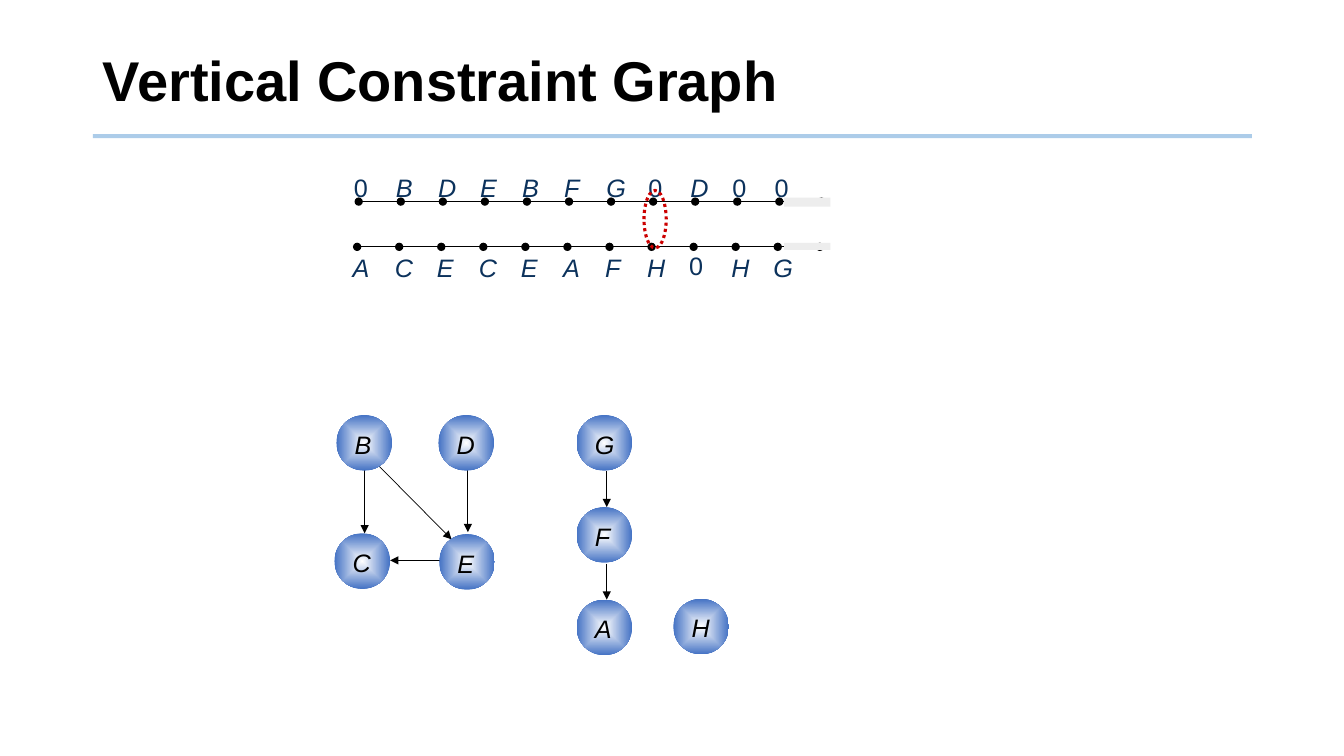
from lxml import etree
from pptx import Presentation
from pptx import util as u
from pptx.dml.color import RGBColor
from pptx.enum import dml, shapes, text
from pptx.oxml import parse_xml
from pptx.oxml.ns import nsdecls, qn


def rgb(value):
    return RGBColor.from_string(value)


class Board:
    """Draws styled elements on one slide, with lengths in centimetres."""

    font = "Arial"
    black, navy, red = "000000", "0C325C", "CC0000"
    gray, rule_blue, node_blue = "EDEDED", "5B9BD5", "4472C4"

    def __init__(self, prs):
        self.s = prs.slides.add_slide(prs.slide_layouts[5])

    def run(self, p, words, size, color, bold=False, italic=False):
        r = p.add_run()
        r.text = words
        f = r.font
        f.name, f.size, f.bold, f.italic = self.font, u.Pt(size), bold, italic
        f.color.rgb = rgb(color)

    def title(self, words, x, y, w, h):
        sp = self.s.shapes.title
        sp.left, sp.top, sp.width, sp.height = map(u.Cm, (x, y, w, h))
        tf = sp.text_frame
        tf.word_wrap = True
        tf.vertical_anchor = text.MSO_ANCHOR.MIDDLE
        p = tf.paragraphs[0]
        p.alignment = text.PP_ALIGN.LEFT
        p.line_spacing = 0.9
        self.run(p, words, 40, self.black, bold=True)

    def line(self, x1, y1, x2, y2, width=0.75, color=black, head=None, tail=None, alpha=None):
        sp = self.s.shapes.add_connector(
            shapes.MSO_CONNECTOR.STRAIGHT, *map(u.Cm, (x1, y1, x2, y2)))
        sp.line.width = u.Pt(width)
        sp.line.color.rgb = rgb(color)
        ln = sp.line._get_or_add_ln()
        if alpha:
            clr = ln.find(".//" + qn("a:srgbClr"))
            etree.SubElement(clr, qn("a:alpha"), val=str(alpha * 1000))
        for tag, kind in (("a:headEnd", head), ("a:tailEnd", tail)):
            if kind:
                etree.SubElement(ln, qn(tag), type=kind)
        etree.SubElement(sp._element.spPr, qn("a:effectLst"))

    def shape(self, kind, x, y, w, h):
        sp = self.s.shapes.add_shape(kind, *map(u.Cm, (x, y, w, h)))
        sp.shadow.inherit = False
        sp.line.fill.background()
        return sp

    def block(self, x, y, w, h):
        sp = self.shape(shapes.MSO_SHAPE.RECTANGLE, x, y, w, h)
        sp.fill.solid()
        sp.fill.fore_color.rgb = rgb(self.gray)

    def ring(self, x, y, w, h):
        sp = self.shape(shapes.MSO_SHAPE.OVAL, x, y, w, h)
        sp.fill.background()
        sp.line.color.rgb = rgb(self.red)
        sp.line.width = u.Pt(2.25)
        sp.line.dash_style = dml.MSO_LINE.ROUND_DOT

    def label(self, words, x, y, w=0.89, color=navy):
        sp = self.s.shapes.add_textbox(*map(u.Cm, (x, y, w, 1.04)))
        tf = sp.text_frame
        tf.word_wrap = True
        tf.margin_left = tf.margin_right = u.Cm(0.28)
        tf.margin_top = tf.margin_bottom = u.Cm(0.13)
        self.run(tf.paragraphs[0], words, 18, color, italic=words.isalpha())

    def node(self, name, x, y, size=1.4):
        sp = self.shape(shapes.MSO_SHAPE.OVAL, x, y, size, size)
        sp.fill.gradient()
        for stop, color in zip(sp.fill.gradient_stops, ("FFFFFF", self.node_blue)):
            stop.color.rgb = rgb(color)
        grad = sp._element.spPr.find(qn("a:gradFill"))
        grad.replace(grad.find(qn("a:lin")), parse_xml(
            f'<a:path {nsdecls("a")} path="shape">'
            '<a:fillToRect l="50000" t="50000" r="50000" b="50000"/></a:path>'))
        self.label(name, x + 0.18, y + 0.22, size, self.black)

    def rail(self, x, y, pitch, count):
        for i in range(count):
            self.line(x + i * pitch, y, x + (i + 1) * pitch, y,
                      head=None if i else "oval", tail="oval")


PITCH = 1.06
TOP_PINS = "0BDEBFG0D00"
BOTTOM_PINS = "ACECEAFH0HG"
EDGES = [
    (15.29, 11.86, 15.29, 12.78, 0.75),
    (15.29, 14.2, 15.29, 15.11, 0.75),
    (9.27, 11.46, 11.38, 13.59, 0.5),
    (11.61, 14.12, 9.83, 14.12, 0.5),
    (11.79, 11.63, 11.79, 13.41, 0.75),
    (9.19, 11.66, 9.19, 13.44, 0.75),
]
NODES = {
    "H": (16.97, 15.09), "G": (14.53, 10.46), "F": (14.53, 12.78), "A": (14.53, 15.11),
    "E": (11.07, 13.46), "D": (11.05, 10.46), "B": (8.48, 10.46), "C": (8.43, 13.44),
}


def main():
    prs = Presentation()
    prs.slide_width, prs.slide_height = u.Cm(33.87), u.Cm(19.05)
    board = Board(prs)
    board.line(2.34, 3.43, 31.55, 3.43, 3, board.rule_blue, alpha=50)
    board.title("Vertical Constraint Graph", 2.34, 0.71, 29.21, 2.79)

    board.rail(9.04, 5.08, PITCH, len(TOP_PINS))
    for i, pin in enumerate(TOP_PINS):
        board.label(pin, 8.64 + i * PITCH, 4.22)
    board.block(19.76, 4.98, 1.17, 0.23)

    board.rail(9, 6.22, PITCH, len(BOTTOM_PINS))
    for i, pin in enumerate(BOTTOM_PINS):
        board.label(pin, 8.61 + i * PITCH, 6.22 if pin.isalpha() else 6.17)
    board.block(19.76, 6.12, 1.17, 0.18)
    board.ring(16.23, 4.8, 0.56, 1.45)

    for *ends, width in EDGES:
        board.line(*ends, width, tail="triangle")
    for name, place in NODES.items():
        board.node(name, *place)
    prs.save("out.pptx")


if __name__ == "__main__":
    main()
